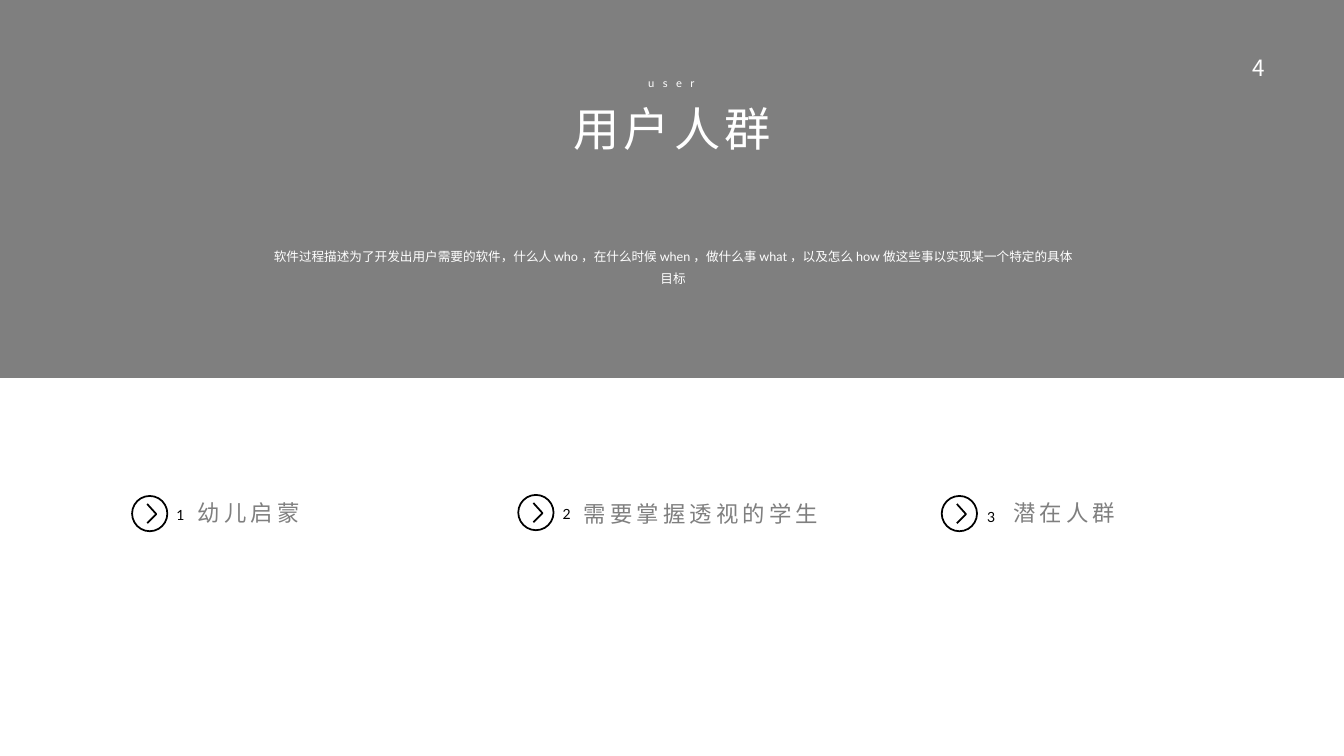
from lxml import etree
from pptx import Presentation
from pptx.dml.color import RGBColor
from pptx.enum import shapes, text
from pptx.oxml.ns import qn
from pptx.util import Inches, Pt

GREY = RGBColor(0x7F, 0x7F, 0x7F)
WHITE = RGBColor(0xFF, 0xFF, 0xFF)
BLACK = RGBColor(0x00, 0x00, 0x00)
CJK_FONT = "Noto Sans CJK SC"
CENTER = text.PP_ALIGN.CENTER


def place(box, left, top, width, height):
    frame = {"left": left, "top": top, "width": width, "height": height}
    for name, value in frame.items():
        setattr(box, name, Inches(value))


def write(box, words, size, color, align, inset=(0.03, 0.05), line=1.0,
          tracking=0, font="Lato", wrap=True):
    """Fill a box with one paragraph; inset is (sides, top and bottom) in inches."""
    side, edge = map(Inches, inset)
    frame = box.text_frame
    settings = {
        "margin_left": side, "margin_right": side,
        "margin_top": edge, "margin_bottom": edge,
        "word_wrap": wrap, "auto_size": text.MSO_AUTO_SIZE.NONE,
        "vertical_anchor": text.MSO_ANCHOR.TOP,
    }
    for name, value in settings.items():
        setattr(frame, name, value)
    para = frame.paragraphs[0]
    para.alignment = align
    para.line_spacing = line
    span = para.add_run()
    span.text = words
    span.font.name = font
    span.font.size = Pt(size)
    span.font.color.rgb = color
    props = span.font._element
    props.set("spc", str(tracking * 100))
    etree.SubElement(props, qn("a:ea")).set("typeface", CJK_FONT)


deck = Presentation()
deck.slide_width = Inches(13.33)
deck.slide_height = Inches(7.5)
page = deck.slides.add_slide(deck.slide_layouts[5])

# Grey header band, sent behind the title
band = page.shapes.add_shape(shapes.MSO_SHAPE.RECTANGLE, 0, Inches(-0.01),
                             Inches(13.33), Inches(3.76))
band.shadow.inherit = False
band.fill.solid()
band.fill.fore_color.rgb = GREY
band.line.fill.background()
page.shapes._spTree.insert(2, band._element)

title = page.shapes.title
place(title, 3.94, 0.95, 5.45, 0.66)
write(title, "用户人群", 33, WHITE, CENTER, tracking=3)

subtitle = page.shapes.add_textbox(0, 0, 0, 0)
place(subtitle, 5.18, 0.71, 2.96, 0.24)
write(subtitle, "user", 8, WHITE, CENTER, tracking=6)

summary = page.shapes.add_textbox(0, 0, 0, 0)
place(summary, 2.64, 2.34, 8.07, 0.3)
write(summary, "软件过程描述为了开发出用户需要的软件，什么人who，在什么时候when，"
      "做什么事what，以及怎么how做这些事以实现某一个特定的具体目标",
      9, WHITE, CENTER, line=1.5)

page_number = page.shapes.add_textbox(0, 0, 0, 0)
place(page_number, 12.3, 0.55, 0.25, 0.25)
write(page_number, "4", 16, WHITE, text.PP_ALIGN.RIGHT, inset=(0, 0), font=CJK_FONT)
page_number.text_frame.vertical_anchor = text.MSO_ANCHOR.MIDDLE

# User groups: icon (left, top), number (left, top, width), label (left, top, width)
groups = [
    ("幼儿启蒙", (1.31, 4.91), (1.72, 4.91, 0.51), (1.93, 4.92, 1.12)),
    ("需要掌握透视的学生", (5.14, 4.9), (5.55, 4.9, 2.21), (5.76, 4.93, 2.45)),
    ("潜在人群", (9.34, 4.91), (9.76, 4.93, 2.21), (10.02, 4.92, 1.12)),
]
chevron = [(0.15, 0.09), (0.24, 0.19), (0.15, 0.28)]
for index, (name, (left, top), number_at, label_at) in enumerate(groups, 1):
    number = page.shapes.add_textbox(0, 0, 0, 0)
    place(number, *number_at, 0.28)
    write(number, str(index), 10, BLACK, text.PP_ALIGN.JUSTIFY,
          inset=(0.03, 0.03), line=1.5)

    label = page.shapes.add_textbox(0, 0, 0, 0)
    place(label, *label_at, 0.32)
    write(label, name, 16, GREY, text.PP_ALIGN.LEFT, inset=(0.03, 0.03),
          tracking=3, wrap=False)

    ring = page.shapes.add_shape(shapes.MSO_SHAPE.OVAL, Inches(left),
                                 Inches(top + 0.01), Inches(0.35), Inches(0.35))
    start, *ends = [(Inches(left + x), Inches(top + y)) for x, y in chevron]
    pen = page.shapes.build_freeform(*start)
    pen.add_line_segments(ends, close=False)
    for mark in (ring, pen.convert_to_shape()):
        mark.shadow.inherit = False
        mark.fill.background()
        mark.line.color.rgb = BLACK
        mark.line.width = Pt(1.25)

deck.save("out.pptx")
